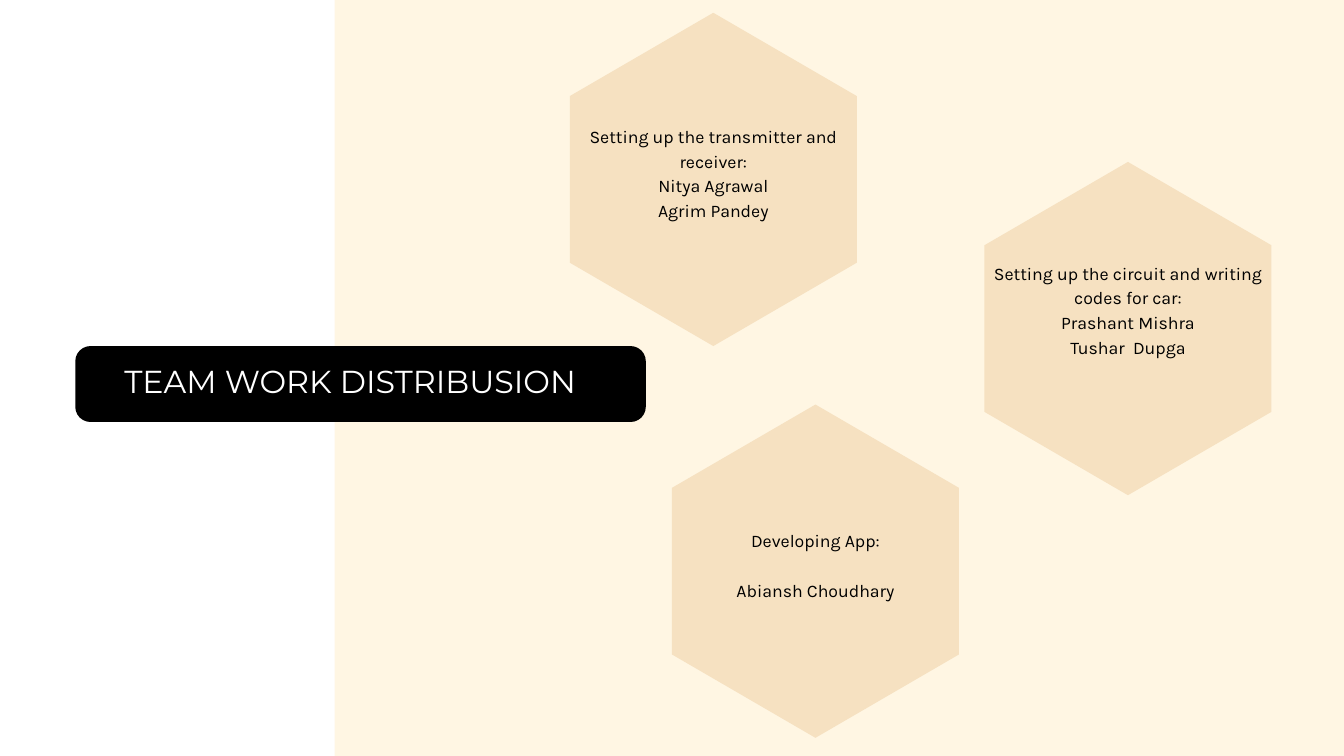
from dataclasses import dataclass

from pptx import Presentation
from pptx.dml.color import RGBColor
from pptx.enum import shapes, text
from pptx.util import Inches, Pt

TITLE = "TEAM WORK DISTRIBUSION"
TEAMS = [
    {"at": (8.48, 0.19), "task": "Setting up the transmitter and receiver:",
     "members": ["Nitya Agrawal", "Agrim Pandey"], "task_gap": 0, "bottom_lines": 0},
    {"at": (10, 6.02), "task": "Developing App:",
     "members": ["Abiansh Choudhary"], "task_gap": 1, "bottom_lines": 0},
    {"at": (14.65, 2.41), "task": "Setting up the circuit and writing codes for car:",
     "members": ["Prashant Mishra", "Tushar  Dupga"], "task_gap": 0, "bottom_lines": 1},
]
HEX_WIDTH, HEX_HEIGHT = 4.27, 4.96
LABEL_TOP, LABEL_HEIGHT = 0.62, 3.49
INSET = 0.06


@dataclass(frozen=True)
class Theme:
    panel: str = "FFF6E3"
    hexagon: str = "F6E1C1"
    dark: str = "000000"
    light: str = "FFFFFF"
    title_font: str = "Montserrat"
    title_size: float = 34
    title_line: float = 40.8
    body_font: str = "Karla"
    body_size: float = 19
    body_line: float = 26.6


THEME = Theme()


def paint(shape, color):
    shape.shadow.inherit = False
    shape.fill.solid()
    shape.fill.fore_color.rgb = RGBColor.from_string(color)
    shape.line.fill.background()


def add_block(page, kind, left, top, width, height, color):
    block = page.shapes.add_shape(
        kind, Inches(left), Inches(top), Inches(width), Inches(height))
    paint(block, color)
    return block


def add_hexagon(page, left, top):
    middle, right = left + HEX_WIDTH / 2, left + HEX_WIDTH
    upper, lower = top + HEX_HEIGHT / 4, top + HEX_HEIGHT * 3 / 4
    corners = [(right, upper), (right, lower), (middle, top + HEX_HEIGHT),
               (left, lower), (left, upper)]
    builder = page.shapes.build_freeform(Inches(middle), Inches(top))
    builder.add_line_segments([(Inches(x), Inches(y)) for x, y in corners])
    paint(builder.convert_to_shape(), THEME.hexagon)


def add_text(page, left, top, width, height, lines, font, size, spacing, color, inset=0):
    box = page.shapes.add_textbox(
        Inches(left), Inches(top), Inches(width), Inches(height))
    frame = box.text_frame
    frame.word_wrap = True
    frame.margin_left = frame.margin_right = Inches(inset)
    frame.margin_top = frame.margin_bottom = Inches(inset)
    frame.text = "\n".join(lines)
    for para in frame.paragraphs:
        para.alignment = text.PP_ALIGN.CENTER
        para.line_spacing = Pt(spacing)
        para.font.name = font
        para.font.size = Pt(size)
        para.font.color.rgb = RGBColor.from_string(color)
    return frame


def add_team(page, team):
    left, top = team["at"]
    add_hexagon(page, left, top)
    frame = add_text(page, left, top + LABEL_TOP, HEX_WIDTH, LABEL_HEIGHT,
                     [team["task"], *team["members"]], THEME.body_font,
                     THEME.body_size, THEME.body_line, THEME.dark, INSET)
    frame.vertical_anchor = text.MSO_ANCHOR.MIDDLE
    frame.margin_bottom = Inches(INSET) + Pt(THEME.body_line * team["bottom_lines"])
    frame.paragraphs[0].space_after = Pt(THEME.body_line * team["task_gap"])


def main():
    deck = Presentation()
    deck.slide_width, deck.slide_height = Inches(20), Inches(11.25)
    page = deck.slides.add_slide(deck.slide_layouts[6])
    kinds = shapes.MSO_SHAPE
    add_block(page, kinds.RECTANGLE, 4.98, -0.21, 15.44, 11.67, THEME.panel)
    bar = add_block(page, kinds.ROUNDED_RECTANGLE, 1.12, 5.15, 8.49, 1.13, THEME.dark)
    bar.adjustments[0] = 0.2
    add_text(page, 1.45, 5.39, 7.52, 0.56, [TITLE], THEME.title_font,
             THEME.title_size, THEME.title_line, THEME.light)
    for team in TEAMS:
        add_team(page, team)
    deck.save("out.pptx")


if __name__ == "__main__":
    main()
